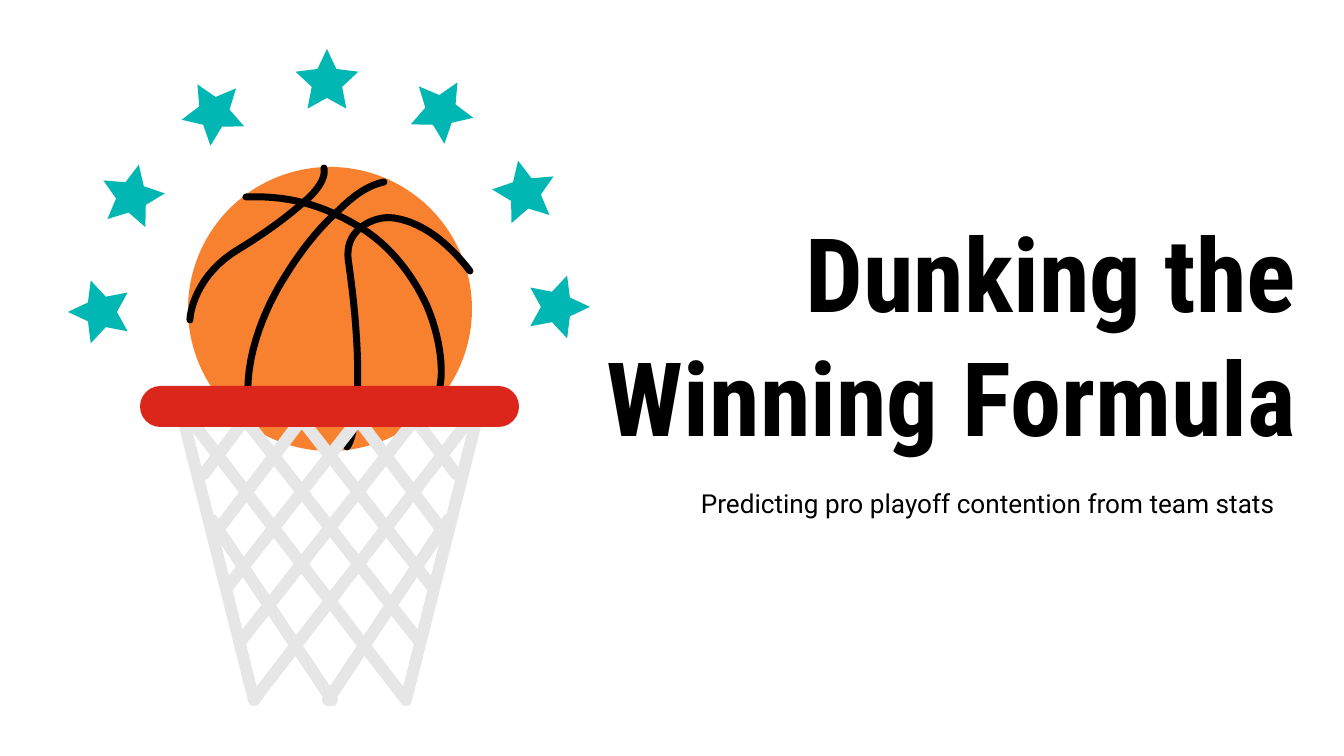
import math

import pptx
import pptx.dml.color
import pptx.enum.shapes
import pptx.enum.text
import pptx.oxml
import pptx.oxml.ns
import pptx.util

RGB = pptx.dml.color.RGBColor
BLACK = RGB(0x00, 0x00, 0x00)
ORANGE = RGB(0xF8, 0x81, 0x2F)
GREY = RGB(0xE6, 0xE6, 0xE6)
RED = RGB(0xDB, 0x27, 0x1B)
TEAL = RGB(0x00, 0xB7, 0xB3)
SHAPE = pptx.enum.shapes.MSO_SHAPE
ANCHOR = pptx.enum.text.MSO_ANCHOR
SCALE = 914400 / 134.4
AXIS = 330  # the centre line of ball and net

# Each seam is a start point followed by Bezier triples.
SEAMS = [
    [(324, 168), (326, 178), (318, 190), (304, 202), (288, 216), (267, 232),
     (239, 249), (195, 275), (190, 314), (190, 320)],
    [(246, 197), (296, 195), (330, 209), (363, 229), (397, 251), (417, 284),
     (427, 306), (443, 344), (446, 386), (434, 401)],
    [(384, 182), (370, 185), (356, 193), (338, 211), (317, 230), (301, 251),
     (286, 275), (266, 306), (237, 367), (252, 424)],
    [(470, 271), (468, 269), (437, 224), (394, 218), (379, 216), (365, 223),
     (358, 230), (350, 238), (346, 248), (349, 265), (359, 336), (359, 382),
     (356, 414), (353, 439), (348, 446), (347, 447)],
]
# Cords of the net that lean right, and its left edge; the rest are mirrored.
CORDS = [
    [(180, 406), (254, 700)],
    [(180, 406), (406, 700)],
    [(236, 408), (419, 641)],
    [(292, 407), (433, 588)],
    [(348, 406), (442, 530)],
    [(405, 406), (456, 474)],
    [(212, 520), (332, 700)],
]
# Centre x, centre y, turn in degrees
STARS = [(327, 82, 0), (214, 113, -30), (132, 197, 12), (101, 312, -18),
         (557, 307, 18), (525, 193, -12), (441, 111, 30)]


def px(size):
    return pptx.util.Emu(round(size * SCALE))


def trace(knots, steps=16):
    """Return points along a chain of cubic Bezier curves."""
    points = [knots[0]]
    for i in range(0, len(knots) - 1, 3):
        a, b, c, d = knots[i:i + 4]
        for n in range(1, steps + 1):
            t = n / steps
            u = 1 - t
            points.append(tuple(
                u**3 * p + 3 * u * u * t * q + 3 * u * t * t * r + t**3 * s
                for p, q, r, s in zip(a, b, c, d)))
    return points


class Deck:
    """Holds the style and the current slide."""
    title_font = "Roboto Condensed"
    body_font = "Roboto"
    inset = 13

    def __init__(self):
        self.file = pptx.Presentation()
        self.file.slide_width, self.file.slide_height = px(1344), px(756)
        self.slide = self.file.slides.add_slide(self.file.slide_layouts[0])
        self.shapes = self.slide.shapes

    def text(self, holder, words, box, font, size, bold, anchor):
        holder.left, holder.top, holder.width, holder.height = map(px, box)
        frame = holder.text_frame
        frame.word_wrap = True
        frame.auto_size = pptx.enum.text.MSO_AUTO_SIZE.NONE
        frame.vertical_anchor = anchor
        frame.margin_left = frame.margin_right = px(self.inset)
        frame.margin_top = frame.margin_bottom = px(self.inset)
        para = frame.paragraphs[0]
        para.alignment = pptx.enum.text.PP_ALIGN.RIGHT
        para.space_before = pptx.util.Pt(0)
        run = para.add_run()
        run.text = words
        run.font.name, run.font.size = font, pptx.util.Pt(size)
        run.font.bold, run.font.color.rgb = bold, BLACK

    def title(self, words, box):
        self.text(self.shapes.title, words, box, self.title_font, 55, True,
                  ANCHOR.MIDDLE)

    def body(self, words, box):
        self.text(self.slide.placeholders[1], words, box, self.body_font, 14,
                  False, ANCHOR.TOP)

    def paint(self, shape, color):
        shape.shadow.inherit = False
        shape.fill.solid()
        shape.fill.fore_color.rgb = color
        shape.line.fill.background()
        return shape

    def solid(self, kind, box, color):
        return self.paint(self.shapes.add_shape(kind, *map(px, box)), color)

    def outline(self, paths, close):
        """Build one freeform from several runs of points."""
        paths = [[(px(x), px(y)) for x, y in path] for path in paths]
        pen = self.shapes.build_freeform(*paths[0][0])
        for i, path in enumerate(paths):
            if i:
                pen.move_to(*path[0])
            pen.add_line_segments(path[1:], close=close)
        return pen.convert_to_shape()

    def stroke(self, paths, color, width):
        shape = self.outline(paths, False)
        shape.shadow.inherit = False
        shape.fill.background()
        shape.line.color.rgb = color
        shape.line.width = px(width)
        line = shape.element.spPr.find(pptx.oxml.ns.qn("a:ln"))
        line.set("cap", "rnd")
        line.append(pptx.oxml.parse_xml(
            f"<a:round {pptx.oxml.ns.nsdecls('a')}/>"))

    def star(self, x, y, turn, outer=33, inner=16):
        points = []
        for i in range(10):
            angle = math.radians(turn + 36 * i)
            size = inner if i % 2 else outer
            points.append((x + size * math.sin(angle),
                           y - size * math.cos(angle)))
        self.paint(self.outline([points], True), TEAL)


def main():
    deck = Deck()
    deck.title("Dunking the Winning Formula", (484, 134, 825, 399))
    deck.body("Predicting pro playoff contention from team stats",
              (660, 474, 628, 71))
    deck.solid(SHAPE.OVAL, (AXIS - 142, 167, 284, 284), ORANGE)
    deck.stroke([trace(seam) for seam in SEAMS], BLACK, 7)
    twins = [[(2 * AXIS - x, y) for x, y in cord] for cord in CORDS]
    deck.stroke(CORDS + twins, GREY, 12)
    rim = deck.solid(SHAPE.ROUNDED_RECTANGLE, (140, 386, 379, 41), RED)
    rim.adjustments[0] = 0.5
    for star in STARS:
        deck.star(*star)
    deck.file.save("out.pptx")


if __name__ == "__main__":
    main()
